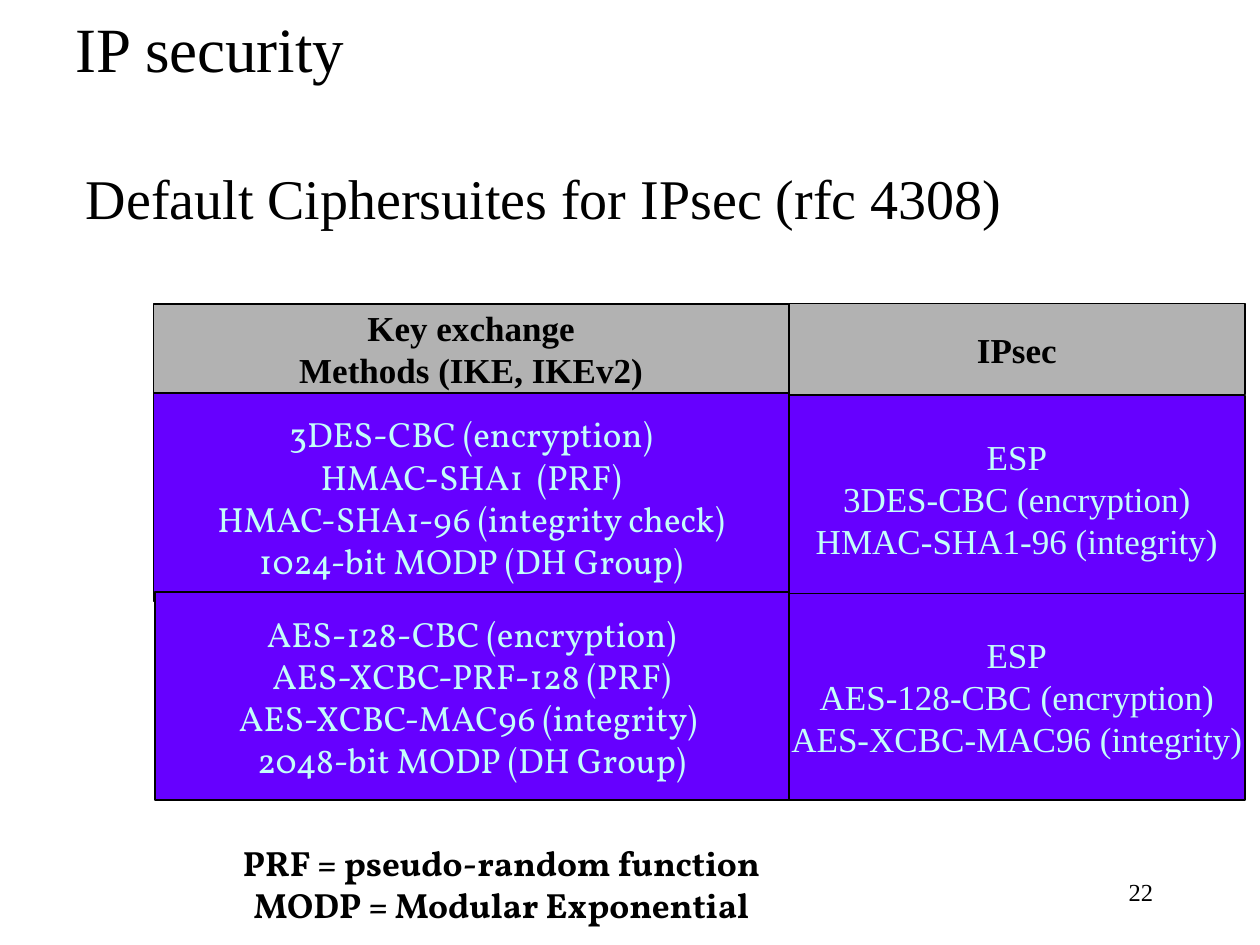
from pptx import Presentation
from pptx.dml.color import RGBColor
from pptx.enum.shapes import MSO_SHAPE as Shape
from pptx.enum.text import MSO_ANCHOR as Anchor, PP_ALIGN as Align
from pptx.oxml import parse_xml
from pptx.oxml.ns import nsdecls
from pptx.util import Pt

BLACK = RGBColor(0x00, 0x00, 0x00)
GREY = RGBColor(0xB2, 0xB2, 0xB2)
VIOLET = RGBColor(0x66, 0x00, 0xFF)
PALE_CYAN = RGBColor(0xC4, 0xFE, 0xFA)
SERIF = "Times New Roman"
VOLLKORN = "Vollkorn"

HEADER = dict(fill=GREY, bold=True)
SUITE = dict(fill=VIOLET, color=PALE_CYAN)
IPSEC_LEFT, IPSEC_WIDTH = 450.7, 260.7
KEY_LEFT, KEY_WIDTH = 87.8, 362.9

CELLS = [
    ((IPSEC_LEFT, 226.1, IPSEC_WIDTH, 118.1),
     ["ESP", "3DES-CBC (encryption)", "HMAC-SHA1-96 (integrity)"], SUITE),
    ((IPSEC_LEFT, 173.5, IPSEC_WIDTH, 52), ["IPsec"], HEADER),
    ((KEY_LEFT, 224.6, KEY_WIDTH, 118.8),
     ["3DES-CBC (encryption)", "HMAC-SHA1  (PRF)",
      "HMAC-SHA1-96 (integrity check)", "1024-bit MODP (DH Group)"],
     dict(SUITE, font=VOLLKORN)),
    ((KEY_LEFT, 173.5, KEY_WIDTH, 51.1),
     ["Key exchange", "Methods (IKE, IKEv2)"], HEADER),
    ((IPSEC_LEFT, 339.1, IPSEC_WIDTH, 118.1),
     ["ESP", "AES-128-CBC (encryption)", "AES-XCBC-MAC96 (integrity)"], SUITE),
    ((KEY_LEFT + 0.7, 338.4, KEY_WIDTH - 0.7, 118.8),
     ["AES-128-CBC (encryption)", "AES-XCBC-PRF-128 (PRF)",
      "AES-XCBC-MAC96 (integrity) ", "2048-bit MODP (DH Group)"],
     dict(SUITE, font=VOLLKORN)),
]


def write(holder, lines, size=20, font=SERIF, color=BLACK, bold=False,
          align=Align.CENTER, anchor=Anchor.MIDDLE, wrap=False, spacing=1.0):
    """Fill a shape with one formatted paragraph per line."""
    frame = holder.text_frame
    frame.word_wrap = wrap
    frame.vertical_anchor = anchor
    frame.text = "\n".join(lines)
    for paragraph in frame.paragraphs:
        paragraph.alignment = align
        paragraph.line_spacing = spacing
        paragraph.space_before = Pt(0)
        style = paragraph.font
        style.size, style.name, style.bold = Pt(size), font, bold
        style.color.rgb = color


def add_cell(slide, box, lines, fill, **text_format):
    """Add one outlined cell of the ciphersuite grid."""
    cell = slide.shapes.add_shape(Shape.RECTANGLE, *map(Pt, box))
    cell.shadow.inherit = False
    cell.fill.solid()
    cell.fill.fore_color.rgb = fill
    cell.line.color.rgb = BLACK
    cell.line.width = Pt(1)
    write(cell, lines, **text_format)


def add_label(slide, box, lines, **text_format):
    """Add a free text box."""
    write(slide.shapes.add_textbox(*map(Pt, box)), lines, **text_format)


def fill_placeholder(placeholder, box, text, **text_format):
    """Move a template placeholder and write its left-aligned text."""
    placeholder.left, placeholder.top, placeholder.width, placeholder.height = map(Pt, box)
    write(placeholder, [text], align=Align.LEFT, wrap=True, **text_format)


def remove_bullet(paragraph, hanging):
    """Replace the bullet by a plain hanging indent."""
    properties = paragraph._p.get_or_add_pPr()
    properties.set("marL", str(Pt(hanging)))
    properties.set("indent", str(-Pt(hanging)))
    properties.append(parse_xml(f"<a:buNone {nsdecls('a')}/>"))


def main():
    """Build the ciphersuite slide."""
    deck = Presentation()
    deck.slide_width, deck.slide_height = Pt(720), Pt(540)
    slide = deck.slides.add_slide(deck.slide_layouts[1])
    title, subject = slide.placeholders

    fill_placeholder(title, (36, -0.7, 648, 55.4), "IP security", size=36)
    fill_placeholder(subject, (41.8, 94.3, 666, 324),
                     "Default Ciphersuites for IPsec (rfc 4308)",
                     size=32, anchor=Anchor.TOP, spacing=0.9)
    remove_bullet(subject.text_frame.paragraphs[0], hanging=27)

    for box, lines, cell_format in CELLS:
        add_cell(slide, box, lines, **cell_format)

    add_label(slide, (99.4, 445.7, 374.4, 118.8),
              ["PRF = pseudo-random function", "MODP = Modular Exponential"],
              font=VOLLKORN, bold=True)
    add_label(slide, (516.2, 491.8, 149.8, 36), ["22"],
              size=14, align=Align.RIGHT, wrap=True)
    deck.save("out.pptx")


if __name__ == "__main__":
    main()
